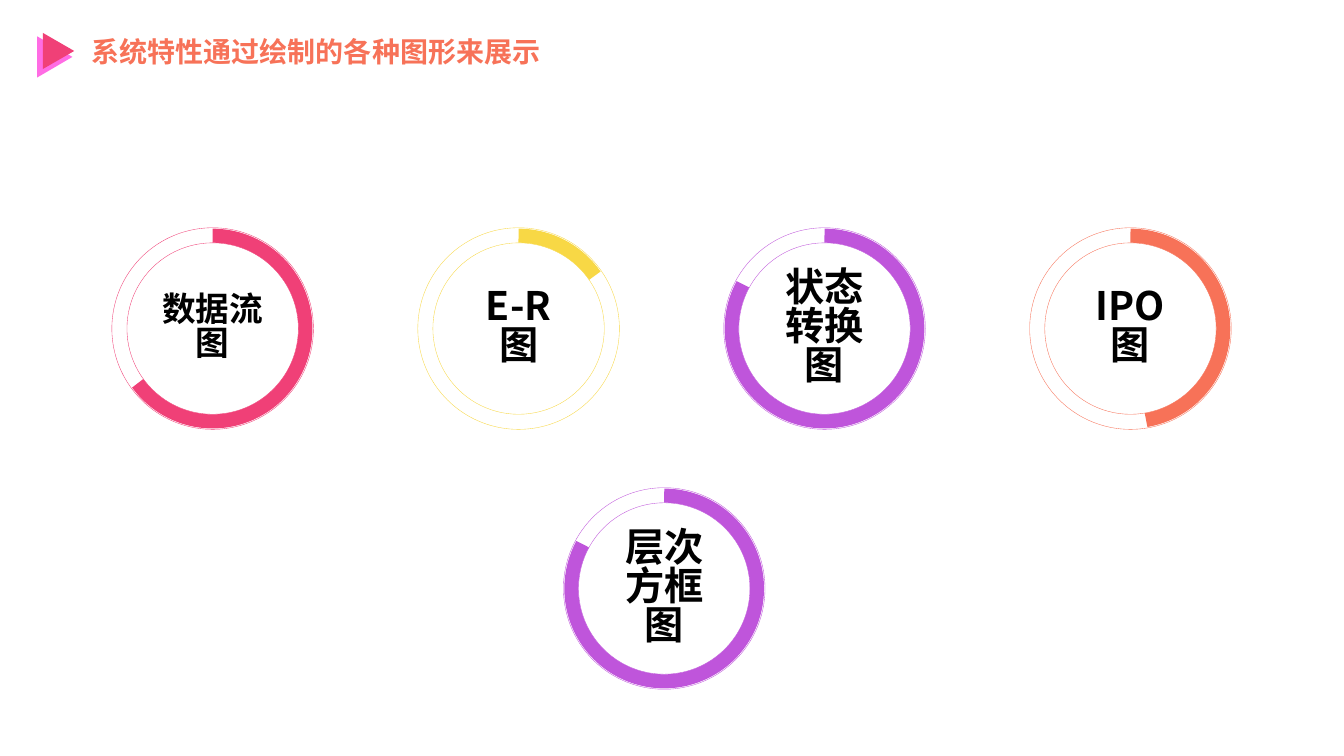
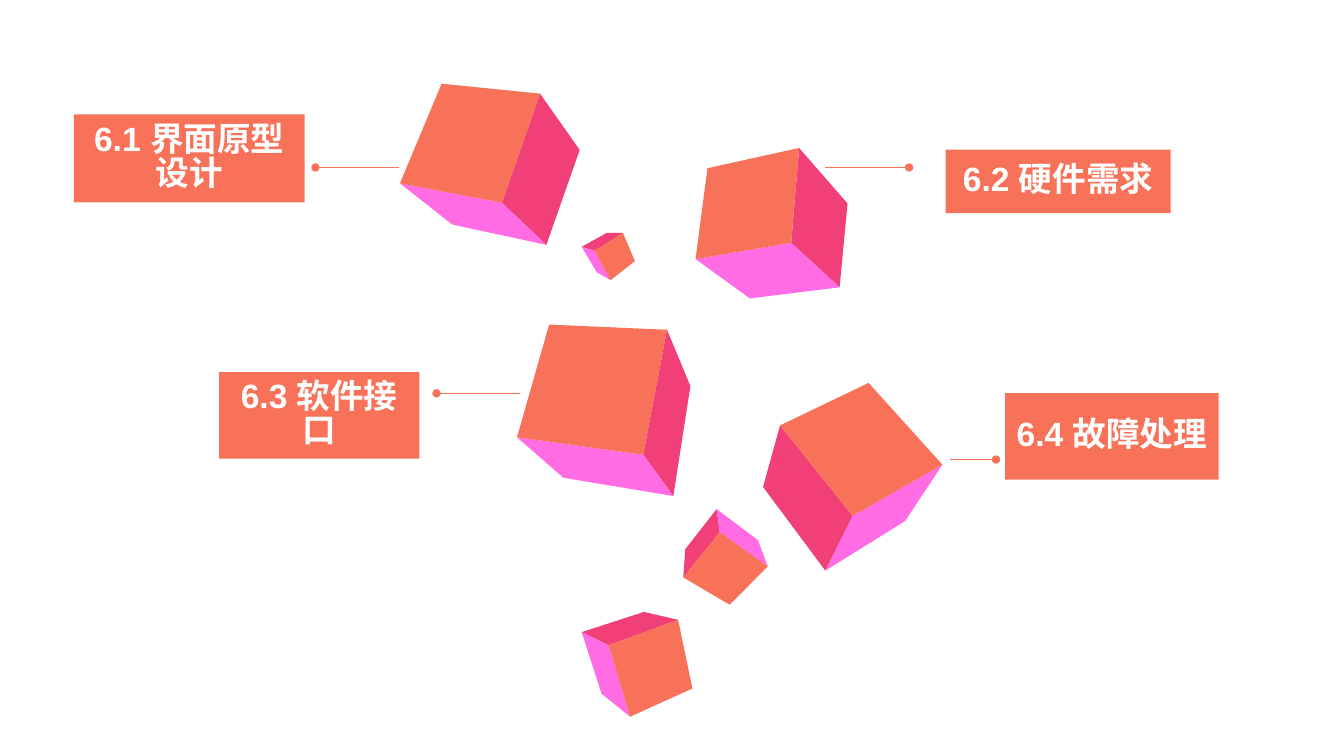
import pptx
import pptx.util
import pptx.dml.color
import pptx.enum.shapes
import pptx.enum.text
import pptx.oxml
import pptx.oxml.ns

Cm = pptx.util.Cm
Pt = pptx.util.Pt
RGB = pptx.dml.color.RGBColor
KIND = pptx.enum.shapes.MSO_SHAPE
ALIGN = pptx.enum.text.PP_ALIGN
ANCHOR = pptx.enum.text.MSO_ANCHOR

CORAL = RGB(0xF7, 0x72, 0x58)
ROSE = RGB(0xF0, 0x40, 0x77)
PINK = RGB(0xFF, 0x6C, 0xE4)
GOLD = RGB(0xF8, 0xD8, 0x45)
PURPLE = RGB(0xBF, 0x55, 0xDB)
BLACK = RGB(0, 0, 0)
WHITE = RGB(255, 255, 255)
HAN = "Noto Sans CJK SC"

deck = pptx.Presentation()
deck.slide_width = Cm(33.87)
deck.slide_height = Cm(19.05)
blank = deck.slide_layouts[6]


def paint(shape, fill=None, line=None, width=0.25):
    shape.shadow.inherit = False
    if fill is None:
        shape.fill.background()
    else:
        shape.fill.solid()
        shape.fill.fore_color.rgb = fill
    if line is None:
        shape.line.fill.background()
    else:
        shape.line.color.rgb = line
        shape.line.width = Pt(width)


def write(shape, text, size, color, name=HAN, align=ALIGN.CENTER, anchor=ANCHOR.MIDDLE):
    frame = shape.text_frame
    frame.word_wrap = True
    frame.vertical_anchor = anchor
    para = frame.paragraphs[0]
    para.alignment = align
    para.line_spacing = 0.83
    run = para.add_run()
    run.text = text
    look = {"size": Pt(size), "bold": True, "name": name}
    for key, value in look.items():
        setattr(run.font, key, value)
    run.font.color.rgb = color
    east = pptx.oxml.parse_xml(
        f'<a:ea {pptx.oxml.ns.nsdecls("a")} typeface="{HAN}"/>')
    run.font._element.find(pptx.oxml.ns.qn("a:latin")).addnext(east)


slide = deck.slides.add_slide(blank)
title = slide.shapes.add_textbox(Cm(2.06), Cm(0.88), Cm(15.93), Cm(1.17))
write(title, "系统特性通过绘制的各种图形来展示", 20, CORAL, align=ALIGN.LEFT, anchor=ANCHOR.TOP)

for left, top, wide, high, color in [
    (0.86, 0.99, 1.04, 0.89, PINK),
    (1.02, 0.89, 0.91, 0.79, ROSE),
]:
    mark = slide.shapes.add_shape(
        KIND.ISOSCELES_TRIANGLE, Cm(left), Cm(top), Cm(wide), Cm(high))
    mark.rotation = 90
    paint(mark, color)

STEP = 7.71
rings = [
    ("数据流图", 24, ROSE, 86.31, 2.82, 5.74),
    ("E-R图", 28, GOLD, 195.17, 2.82 + STEP, 5.74),
    ("状态转换图", 28, PURPLE, 125.11, 2.82 + 2 * STEP, 5.74),
    ("IPO图", 28, CORAL, 48.18, 2.82 + 3 * STEP, 5.74),
    ("层次方框图", 28, PURPLE, 125.11, 14.2, 12.29),
]
for text, size, color, end, left, top in rings:
    parts = []
    for kind, inset, width in [
        (KIND.OVAL, 0, 0.25), (KIND.OVAL, 0.38, 0.25), (KIND.ARC, 0.2, 10)
    ]:
        side = Cm(5.08 - 2 * inset)
        part = slide.shapes.add_shape(kind, Cm(left + inset), Cm(top + inset), side, side)
        paint(part, line=color, width=width)
        parts.append(part)
    rim, disc, arc = parts
    write(disc, text, size, BLACK)
    arc.adjustments[0] = 162
    arc.adjustments[1] = end

slide = deck.slides.add_slide(blank)
cubes = [
    ((12.65, 5.11), [(13.61, 2.36), (14.61, 3.78), (13.77, 6.17),
                     (11.4, 5.66), (10.08, 4.62), (11.13, 2.11)]),
    ((19.94, 6.12), [(20.14, 3.73), (21.36, 5.13), (21.16, 7.24),
                     (18.9, 7.52), (17.53, 6.53), (17.83, 4.24)]),
    ((16.21, 11.46), [(16.81, 8.31), (17.4, 9.73), (16.97, 12.5),
                      (14.2, 12.04), (13.03, 11.02), (13.84, 8.18)]),
    ((21.49, 13), [(19.66, 10.72), (19.23, 12.27), (20.8, 14.38),
                   (22.81, 13.13), (23.75, 11.71), (21.89, 9.65)]),
    ((14.99, 6.32), [(15.7, 5.87), (15.29, 5.87), (14.66, 6.22),
                     (15.04, 6.86), (15.39, 7.06), (16, 6.58)]),
    ((18.14, 13.41), [(17.22, 14.55), (17.27, 13.84), (18.06, 12.83),
                      (19.1, 13.61), (19.35, 14.27), (18.39, 15.24)]),
    ((15.34, 16.26), [(17.09, 15.62), (16.23, 15.42), (14.66, 15.93),
                      (15.16, 17.48), (15.88, 18.06), (17.45, 17.35)]),
]
for core, rim in cubes:
    for first, color in zip((0, 2, 4), (ROSE, PINK, CORAL)):
        face = [core] + [rim[(first + k) % 6] for k in range(3)]
        dots = [(Cm(x), Cm(y)) for x, y in face]
        pen = slide.shapes.build_freeform(*dots[0])
        pen.add_line_segments(dots[1:], close=True)
        paint(pen.convert_to_shape(), color)

for start, end, y in [
    (20.8, 22.91, 4.22), (23.95, 25.1, 11.58), (10.06, 7.95, 4.22), (13.11, 11, 9.91)
]:
    wire = slide.shapes.add_connector(
        pptx.enum.shapes.MSO_CONNECTOR.STRAIGHT, Cm(start), Cm(y), Cm(end), Cm(y))
    wire.line.color.rgb = CORAL
    wire.line.width = Pt(0.5)
    space = pptx.oxml.ns.nsdecls("a")
    wire.line._get_or_add_ln().append(
        pptx.oxml.parse_xml(f'<a:tailEnd {space} type="oval"/>'))
    wire._element.spPr.append(pptx.oxml.parse_xml(f"<a:effectLst {space}/>"))

for text, left, top, wide, high in [
    ("6.1 界面原型设计", 1.86, 2.88, 5.82, 2.22),
    ("6.2 硬件需求", 23.83, 3.77, 5.67, 1.6),
    ("6.3 软件接口", 5.52, 9.38, 5.05, 2.18),
    ("6.4 故障处理", 25.33, 9.91, 5.38, 2.18),
]:
    label = slide.shapes.add_shape(KIND.RECTANGLE, Cm(left), Cm(top), Cm(wide), Cm(high))
    paint(label, CORAL)
    write(label, text, 24, WHITE, "Arial")

deck.save("out.pptx")
